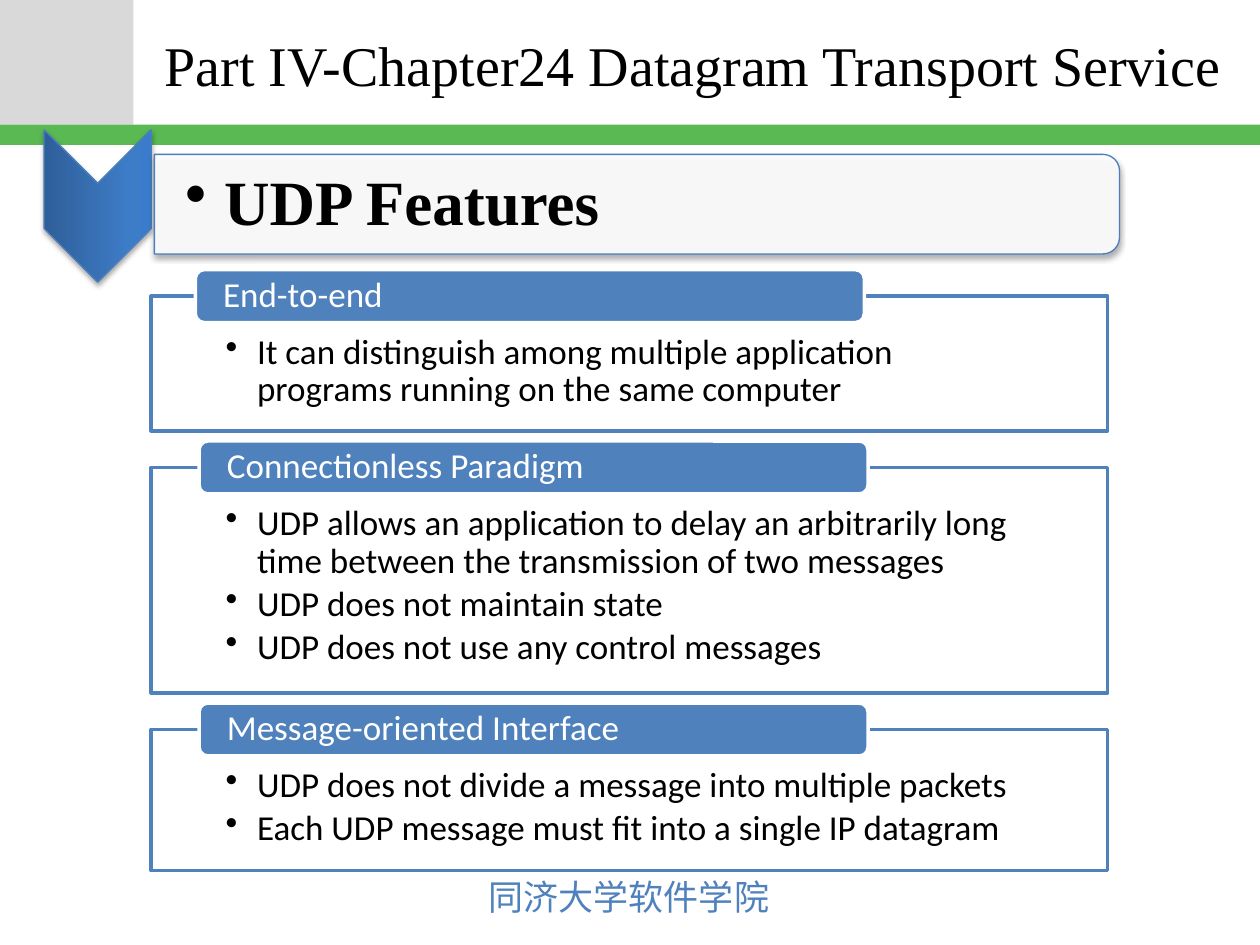
from dataclasses import dataclass

from lxml.etree import SubElement
from pptx import Presentation
from pptx.dml.color import RGBColor
from pptx.enum.shapes import MSO_SHAPE
from pptx.enum.text import MSO_ANCHOR, MSO_AUTO_SIZE, PP_ALIGN
from pptx.oxml.ns import qn
from pptx.util import Inches, Pt


@dataclass(frozen=True)
class Theme:
    black: str = "000000"
    white: str = "FFFFFF"
    grey: str = "D9D9D9"
    green: str = "5AB953"
    blue: str = "4F81BD"
    edge: str = "4B7EBC"
    gradient: tuple = ((0, "2F5F99"), (80, "3D7CC7"), (100, "3A7CCB"))
    serif: str = "Times New Roman"
    sans: str = "Calibri"
    chinese: str = "Noto Sans CJK JP"
    title_size: int = 32
    heading_size: int = 36
    body_size: int = 20


THEME = Theme()

# Each section: tab left edge, panel height, heading, bullet points
SECTIONS = [
    (1.55, 1.07, "End-to-end", [
        "It can distinguish among multiple application programs running on the same computer",
    ]),
    (1.58, 1.79, "Connectionless Paradigm", [
        "UDP allows an application to delay an arbitrarily long time"
        " between the transmission of two messages",
        "UDP does not maintain state",
        "UDP does not use any control messages",
    ]),
    (1.58, 1.12, "Message-oriented Interface", [
        "UDP does not divide a message into multiple packets",
        "Each UDP message must fit into a single IP datagram",
    ]),
]
FIRST_PANEL_TOP = 2.35
PANEL_GAP = 0.29
TAB_RISE = 0.21


def add_box(slide, kind, box, fill, line=None, width=0, opacity=100):
    shape = slide.shapes.add_shape(kind, *map(Inches, box))
    shape.shadow.inherit = False
    shape.fill.solid()
    shape.fill.fore_color.rgb = RGBColor.from_string(fill)
    if opacity < 100:
        colour = shape.fill._xPr.find(qn("a:solidFill"))[0]
        SubElement(colour, qn("a:alpha"), val=str(opacity * 1000))
    if line:
        shape.line.color.rgb = RGBColor.from_string(line)
        shape.line.width = Pt(width)
    else:
        shape.line.fill.background()
    return shape


def add_shadow(shape):
    effects = shape._element.spPr.find(qn("a:effectLst"))
    shadow = SubElement(effects, qn("a:outerShdw"), blurRad=str(Pt(3.1)),
                        dist=str(Pt(1.8)), dir="5400000", rotWithShape="0")
    colour = SubElement(shadow, qn("a:srgbClr"), val=THEME.black)
    SubElement(colour, qn("a:alpha"), val="35000")


def apply_gradient(shape, stops, angle):
    shape.fill.gradient()
    shape.fill.gradient_angle = angle
    stop_list = shape._element.spPr.find(qn("a:gradFill")).find(qn("a:gsLst"))
    for stop in list(stop_list):
        stop_list.remove(stop)
    for position, colour in stops:
        stop = SubElement(stop_list, qn("a:gs"), pos=str(position * 1000))
        SubElement(stop, qn("a:srgbClr"), val=colour)


def set_frame(shape, insets, anchor, wrap=True):
    frame = shape.text_frame
    frame.word_wrap = wrap
    frame.auto_size = MSO_AUTO_SIZE.NONE
    frame.vertical_anchor = anchor
    (frame.margin_left, frame.margin_top,
     frame.margin_right, frame.margin_bottom) = map(Inches, insets)
    return frame


def add_run(paragraph, text, size, font, colour, bold=False):
    run = paragraph.add_run()
    run.text = text
    run.font.size = Pt(size)
    run.font.name = font
    run.font.bold = bold
    run.font.color.rgb = RGBColor.from_string(colour)
    return run


def make_bullet(paragraph, indent):
    paragraph.alignment = PP_ALIGN.LEFT
    paragraph.line_spacing = 0.9
    paragraph.space_after = Pt(3)
    properties = paragraph._p.get_or_add_pPr()
    properties.set("marL", str(Inches(indent)))
    properties.set("indent", str(-Inches(indent)))
    SubElement(properties, qn("a:buChar"), char="•")


def add_title(slide, text):
    title = slide.shapes.title
    title.left, title.top, title.width, title.height = map(Inches, (1.2, 0.02, 8.6, 0.98))
    frame = set_frame(title, (0.1, 0.05, 0.1, 0.05), MSO_ANCHOR.MIDDLE)
    paragraph = frame.paragraphs[0]
    paragraph.alignment = PP_ALIGN.CENTER
    add_run(paragraph, text, THEME.title_size, THEME.serif, THEME.black)


def add_footer(slide, text):
    footer = slide.shapes.add_textbox(*map(Inches, (3.78, 6.9, 2.45, 0.44)))
    frame = set_frame(footer, (0.1, 0.05, 0.1, 0.05), MSO_ANCHOR.TOP, wrap=False)
    run = add_run(frame.paragraphs[0], text, THEME.body_size, THEME.chinese, THEME.blue)
    SubElement(run.font._element, qn("a:ea"), typeface=THEME.chinese)


def add_heading(slide, text):
    chevron = add_box(slide, MSO_SHAPE.CHEVRON, (0.17, 1.21, 1.21, 0.85),
                      THEME.blue, THEME.edge, 0.75)
    chevron.rotation = 90
    apply_gradient(chevron, THEME.gradient, 90)
    add_shadow(chevron)

    banner = add_box(slide, MSO_SHAPE.ROUND_2_SAME_RECTANGLE, (4.66, -2.21, 0.79, 7.66),
                     THEME.white, THEME.edge, 0.75, opacity=90)
    banner.rotation = 90
    add_shadow(banner)

    label = slide.shapes.add_textbox(*map(Inches, (1.22, 1.27, 7.63, 0.71)))
    frame = set_frame(label, (0.25, 0.02, 0.02, 0.02), MSO_ANCHOR.MIDDLE)
    paragraph = frame.paragraphs[0]
    make_bullet(paragraph, 0.31)
    add_run(paragraph, text, THEME.heading_size, THEME.serif, THEME.black, bold=True)


def add_section(slide, top, tab_left, height, heading, points):
    # Outlined panel with bullet points
    panel = add_box(slide, MSO_SHAPE.RECTANGLE, (1.2, top, 7.59, height),
                    THEME.white, THEME.blue, 2, opacity=90)
    frame = set_frame(panel, (0.59, 0.3, 0.59, 0.16), MSO_ANCHOR.TOP)
    for index, point in enumerate(points):
        paragraph = frame.add_paragraph() if index else frame.paragraphs[0]
        make_bullet(paragraph, 0.25)
        add_run(paragraph, point, THEME.body_size, THEME.sans, THEME.black)

    # Heading tab over the top edge
    tab = add_box(slide, MSO_SHAPE.ROUNDED_RECTANGLE, (tab_left, top - TAB_RISE, 5.31, 0.42),
                  THEME.blue, THEME.white, 2)
    paragraph = set_frame(tab, (0.2, 0, 0.2, 0), MSO_ANCHOR.MIDDLE).paragraphs[0]
    paragraph.alignment = PP_ALIGN.LEFT
    paragraph.line_spacing = 0.9
    add_run(paragraph, heading, THEME.body_size, THEME.sans, THEME.white)


def main():
    presentation = Presentation()
    presentation.slide_width, presentation.slide_height = Inches(10), Inches(7.5)
    slide = presentation.slides.add_slide(presentation.slide_layouts[5])

    # Page frame
    add_box(slide, MSO_SHAPE.RECTANGLE, (0, 0, 1.06, 0.99), THEME.grey)
    add_box(slide, MSO_SHAPE.RECTANGLE, (0, 0.99, 10, 0.16), THEME.green)
    add_footer(slide, "同济大学软件学院")
    add_title(slide, "Part IV-Chapter24 Datagram Transport Service")

    # Content
    add_heading(slide, "UDP Features")
    top = FIRST_PANEL_TOP
    for tab_left, height, heading, points in SECTIONS:
        add_section(slide, top, tab_left, height, heading, points)
        top += height + PANEL_GAP

    presentation.save("out.pptx")


if __name__ == "__main__":
    main()
